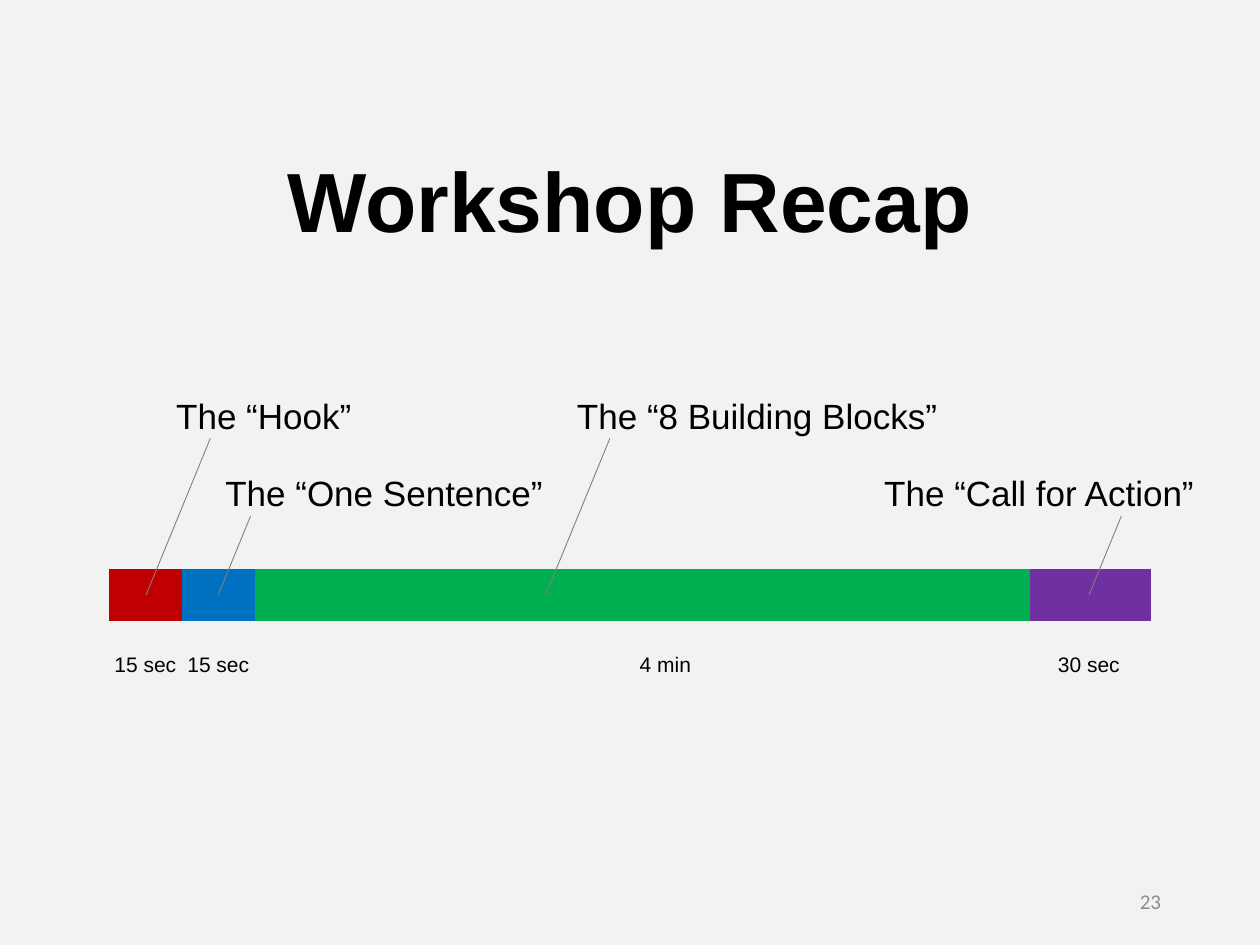
from dataclasses import dataclass
from typing import Any

from lxml import etree
from pptx import Presentation
from pptx.dml.color import RGBColor
from pptx.enum import shapes, text
from pptx.oxml.ns import qn
from pptx.util import Pt


def rgb(value):
    return RGBColor.from_string(value)


@dataclass
class Deck:
    slide: Any
    font: str = "Arial"
    ink: str = "000000"
    leader: str = "808080"

    def background(self, color):
        fill = self.slide.background.fill
        fill.solid()
        fill.fore_color.rgb = rgb(color)

    def line(self, x1, y1, x2, y2, color, width):
        sp = self.slide.shapes.add_connector(
            shapes.MSO_CONNECTOR.STRAIGHT, Pt(x1), Pt(y1), Pt(x2), Pt(y2))
        sp.line.color.rgb = rgb(color)
        sp.line.width = Pt(width)
        etree.SubElement(sp._element.spPr, qn("a:effectLst"))

    def text(self, words, x, y, w, h, size, align=text.PP_ALIGN.LEFT,
             anchor=text.MSO_ANCHOR.TOP, wrap=False, bold=False,
             font=None, color=None, spacing=None):
        sp = self.slide.shapes.add_textbox(Pt(x), Pt(y), Pt(w), Pt(h))
        tf = sp.text_frame
        tf.word_wrap = wrap
        tf.vertical_anchor = anchor
        p = tf.paragraphs[0]
        p.text = words
        p.alignment = align
        p.line_spacing = spacing
        p.font.size = Pt(size)
        p.font.bold = bold
        p.font.name = font or self.font
        p.font.color.rgb = rgb(color or self.ink)


BAR_Y = 340
BAR_EDGES = [62.5, 104, 145.5, 588.5, 657.5]
COLORS = ["C00000", "0070C0", "00B050", "7030A0"]
TALL, SHORT = 89.5, 45
LEADER_SLOPE = 0.41
LABELS = [
    ("The “Hook”", 93.6, 115.2, 83.5, TALL),
    ("The “One Sentence”", 121.7, 197.3, 124.7, SHORT),
    ("The “8 Building Blocks”", 322.6, 222.5, 311.8, TALL),
    ("The “Call for Action”", 498.2, 193, 622.3, SHORT),
]
TIMES = [("15 sec", 83.5, 50.4), ("15 sec", 125.2, 50.4),
         ("4 min", 380.5, 44), ("30 sec", 622.7, 50.4)]


def main():
    prs = Presentation()
    prs.slide_width, prs.slide_height = Pt(720), Pt(540)
    deck = Deck(prs.slides.add_slide(prs.slide_layouts[6]))
    deck.background("F2F2F2")
    deck.text("Workshop Recap", 54, 54, 612, 126.7, 48,
              align=text.PP_ALIGN.CENTER, anchor=text.MSO_ANCHOR.MIDDLE,
              wrap=True, bold=True, spacing=0.9)

    for left, right, color in zip(BAR_EDGES, BAR_EDGES[1:], COLORS):
        deck.line(left, BAR_Y, right, BAR_Y, color, 30)

    for words, x, w, foot, rise in LABELS:
        deck.line(foot, BAR_Y, foot + rise * LEADER_SLOPE, BAR_Y - rise,
                  deck.leader, 0.5)
        deck.text(words, x, BAR_Y - rise - 28.9, w, 31.5, 20)

    for words, center, w in TIMES:
        deck.text(words, center - w / 2, 368.8, w, 21.8, 12)

    deck.text("23", 508.5, 500.5, 162, 28.75, 12,
              align=text.PP_ALIGN.RIGHT, anchor=text.MSO_ANCHOR.MIDDLE,
              wrap=True, font="Calibri", color="8C8C8C")
    prs.save("out.pptx")


if __name__ == "__main__":
    main()
